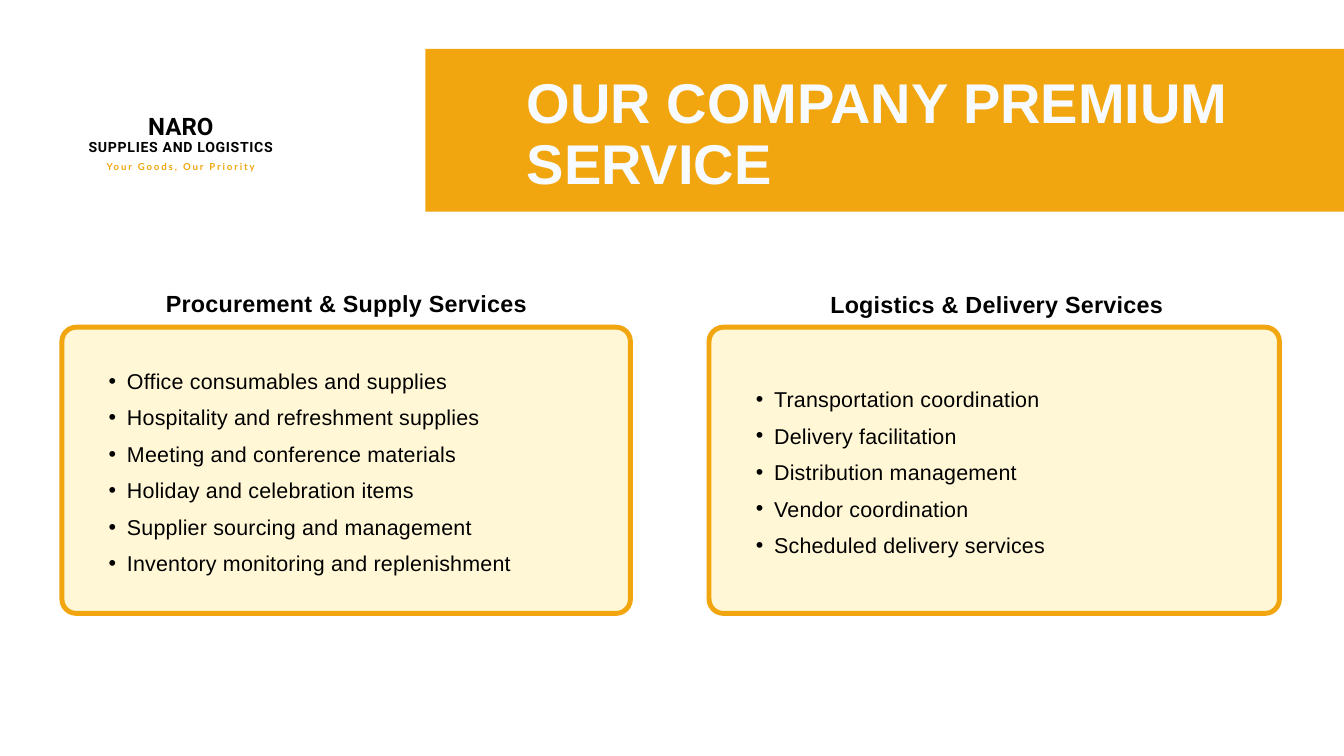
from dataclasses import dataclass

from lxml import etree
from pptx import Presentation
from pptx.dml.color import RGBColor
from pptx.enum.shapes import MSO_SHAPE
from pptx.enum.text import MSO_ANCHOR, PP_ALIGN
from pptx.oxml.ns import qn
from pptx.util import Cm, Pt

RECTANGLE = MSO_SHAPE.RECTANGLE
ROUNDED = MSO_SHAPE.ROUNDED_RECTANGLE
LEFT, CENTER, JUSTIFY = PP_ALIGN.LEFT, PP_ALIGN.CENTER, PP_ALIGN.JUSTIFY
TOP, MIDDLE = MSO_ANCHOR.TOP, MSO_ANCHOR.MIDDLE


@dataclass(frozen=True)
class Theme:
    amber: str = "F1A50E"
    cream: str = "FFF7D5"
    white: str = "F7FBFF"
    black: str = "000000"
    font: str = "Arial"
    logo_font: str = "Roboto"
    tagline_font: str = "Lato"
    title_size: float = 60
    heading_size: float = 25
    list_size: float = 23
    name_size: float = 25.7
    field_size: float = 15.1
    tagline_size: float = 10.3
    border: float = 5.25


THEME = Theme()


def add_bullet(para):
    """Give a paragraph a round bullet with a hanging indent."""
    properties = para._p.get_or_add_pPr()
    properties.set("marL", str(Cm(1.37)))
    properties.set("indent", str(-Cm(0.69)))
    etree.SubElement(properties, qn("a:buFont")).set("typeface", THEME.font)
    etree.SubElement(properties, qn("a:buChar")).set("char", "•")


def add_text(page, lines, left, top, width, height, *, size, line_height,
             font=THEME.font, color=THEME.black, bold=False, align=LEFT,
             anchor=TOP, tracking=0, bullets=False):
    """Place a text box with one paragraph for each line."""
    box = page.shapes.add_textbox(Cm(left), Cm(top), Cm(width), Cm(height))
    frame = box.text_frame
    frame.word_wrap = True
    frame.vertical_anchor = anchor
    frame.margin_left = frame.margin_right = 0
    frame.margin_top = frame.margin_bottom = 0
    for index, line in enumerate(lines):
        para = frame.add_paragraph() if index else frame.paragraphs[0]
        if bullets:
            para.level = 1
            add_bullet(para)
        para.alignment = align
        para.line_spacing = Pt(line_height)
        span = para.add_run()
        span.text = line
        span.font.name = font
        span.font.size = Pt(size)
        span.font.bold = bold
        span.font.color.rgb = RGBColor.from_string(color)
        if tracking:
            span.font._element.set("spc", str(round(tracking * 100)))
    return box


def add_panel(page, kind, left, top, width, height, fill, border=None):
    """Place a filled shape, with a border if a colour is given."""
    panel = page.shapes.add_shape(kind, Cm(left), Cm(top), Cm(width), Cm(height))
    panel.shadow.inherit = False
    panel.fill.solid()
    panel.fill.fore_color.rgb = RGBColor.from_string(fill)
    if border:
        panel.line.color.rgb = RGBColor.from_string(border)
        panel.line.width = Pt(THEME.border)
    else:
        panel.line.fill.background()
    return panel


def add_banner(page, left, top, width, height, title):
    add_panel(page, RECTANGLE, left, top, width, height, THEME.amber)
    add_text(page, [title], left + 3.83, top + 0.92, width - 3.83, 4.65,
             size=THEME.title_size, line_height=65.4, color=THEME.white, bold=True)


def add_company_name(page, left, top, width, name, field, tagline):
    add_text(page, [name], left, top, width, 1.35, size=THEME.name_size,
             line_height=43.7, font=THEME.logo_font, bold=True, align=CENTER)
    add_text(page, [field], left, top + 1.19, width, 0.76, size=THEME.field_size,
             line_height=25.7, font=THEME.logo_font, bold=True, align=CENTER,
             tracking=0.7)
    add_text(page, [tagline], left, top + 2.11, width, 0.53,
             size=THEME.tagline_size, line_height=17.5, font=THEME.tagline_font,
             color=THEME.amber, bold=True, align=CENTER, tracking=2)


def add_service_card(page, left, top, width, height, heading, services,
                     heading_left, heading_rise):
    """Place a card, its heading above and its list centred inside."""
    card = add_panel(page, ROUNDED, left, top, width, height,
                     THEME.cream, THEME.amber)
    card.adjustments[0] = 0.05
    add_text(page, services, left + 1.09, top + 1.13, 19.61, 8.28,
             size=THEME.list_size, line_height=39.1, align=JUSTIFY,
             anchor=MIDDLE, tracking=0.2, bullets=True)
    add_text(page, [heading], left + heading_left, top - heading_rise, 18.52, 1.4,
             size=THEME.heading_size, line_height=42.5, bold=True,
             align=CENTER, tracking=0.3)


def main():
    deck = Presentation()
    deck.slide_width, deck.slide_height = Cm(50.8), Cm(28.58)
    page = deck.slides.add_slide(deck.slide_layouts[6])

    # Header
    add_banner(page, 16.08, 1.85, 34.72, 6.15, "OUR COMPANY PREMIUM SERVICE")
    add_company_name(page, 3.28, 3.78, 7.11, "NARO", "SUPPLIES AND LOGISTICS",
                     "Your Goods, Our Priority")

    # Service cards
    card_top, card_height = 12.37, 10.82
    add_service_card(
        page, 2.34, card_top, 21.49, card_height, "Procurement & Supply Services",
        ["Office consumables and supplies", "Hospitality and refreshment supplies",
         "Meeting and conference materials", "Holiday and celebration items",
         "Supplier sourcing and management",
         "Inventory monitoring and replenishment"],
        heading_left=1.5, heading_rise=1.88)
    add_service_card(
        page, 26.8, card_top, 21.56, card_height, "Logistics & Delivery Services",
        ["Transportation coordination", "Delivery facilitation",
         "Distribution management", "Vendor coordination",
         "Scheduled delivery services"],
        heading_left=1.62, heading_rise=1.83)

    deck.save("out.pptx")


if __name__ == "__main__":
    main()
